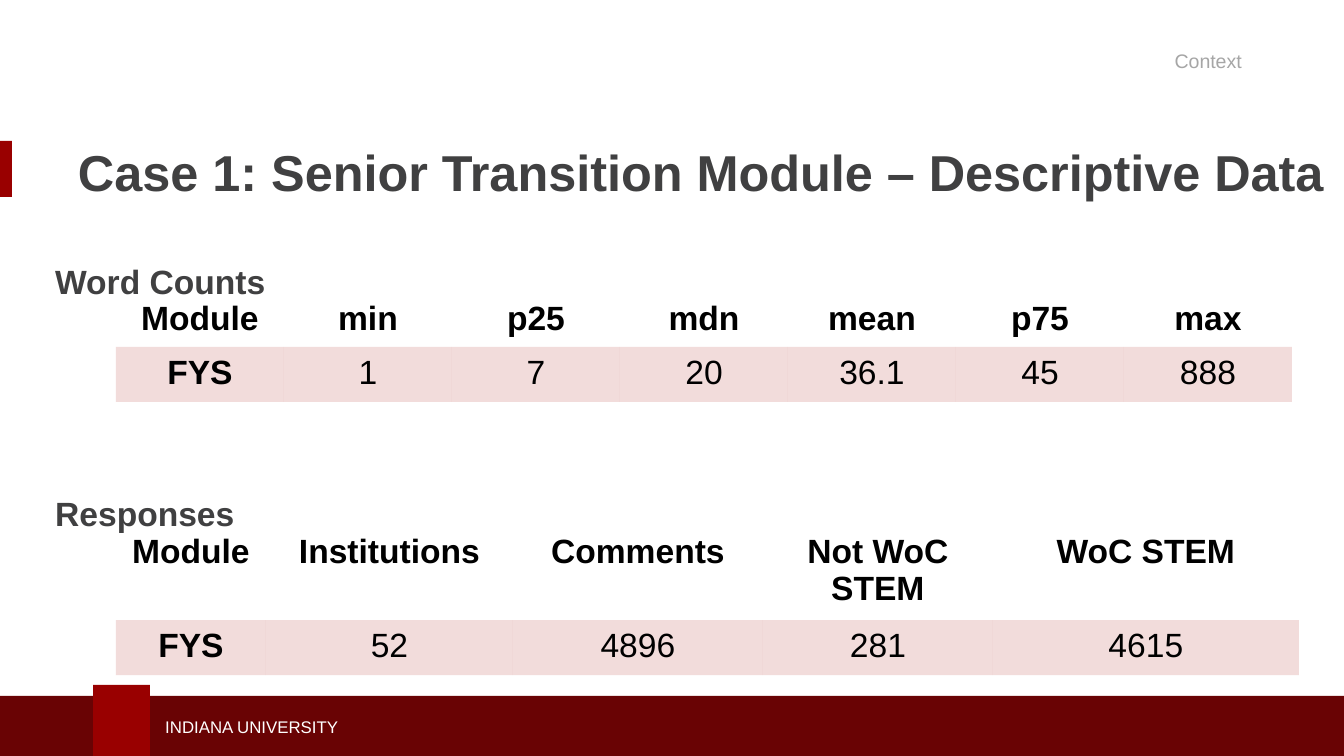
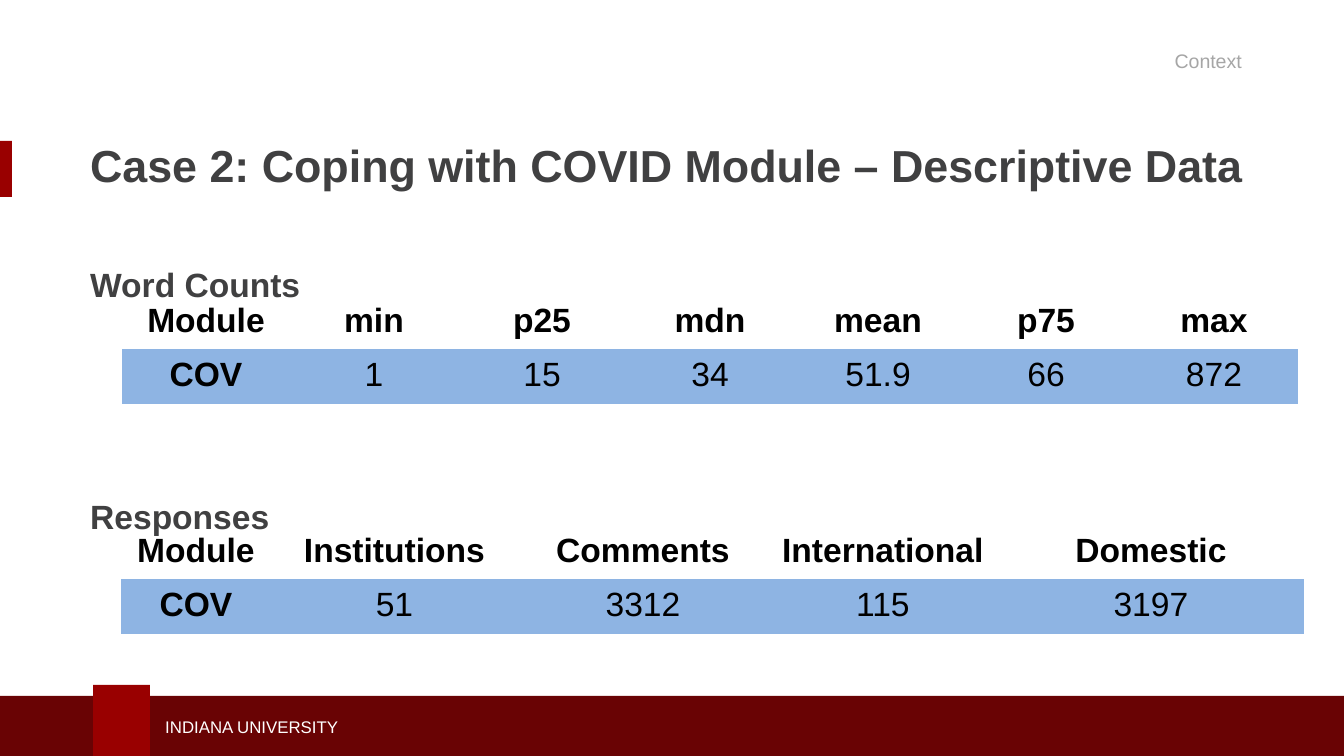
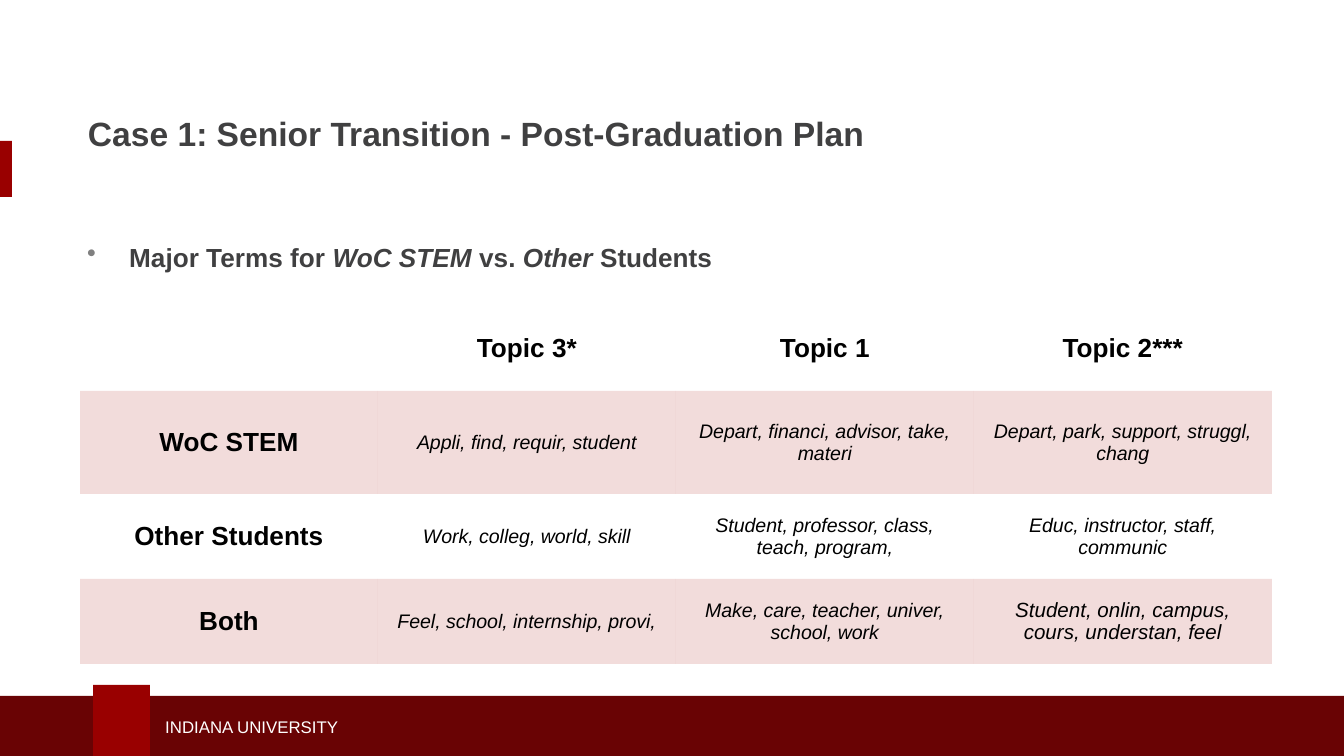
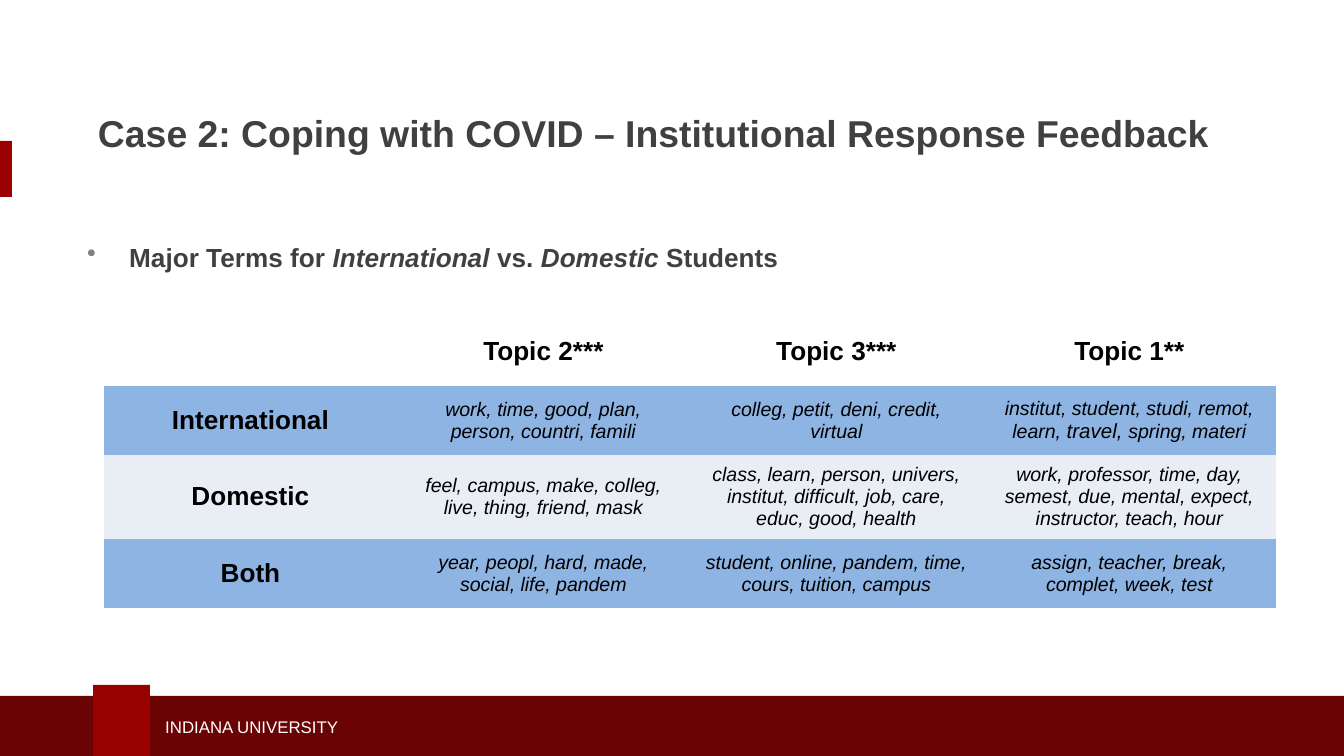
import pptx
import pptx.dml.color
import pptx.enum.shapes
import pptx.enum.text
import pptx.util
from dataclasses import dataclass
from lxml import etree
from pptx.oxml.ns import qn

SCALE = 914400 / 134.4
FONT = "Arial"
INK = "404041"
BLACK = "000000"
WHITE = "FFFFFF"
GREY = "A6A6A6"
DOT = "808080"
RED = "990000"
MAROON = "690304"
PLAIN_GRID = "{2D5ABB26-0587-4C30-8999-92F81FD0307C}"
ALIGN = pptx.enum.text.PP_ALIGN
ANCHOR = pptx.enum.text.MSO_ANCHOR


@dataclass(frozen=True)
class Box:
    left: int
    top: int
    width: int
    height: int


@dataclass(frozen=True)
class Tint:
    shade: str
    alpha: int = 100


@dataclass(frozen=True)
class Grid:
    left: int
    top: int
    widths: tuple[int, ...]
    heights: tuple[int, ...]
    rows: tuple[tuple[str, ...], ...]
    tints: tuple[Tint | None, ...]


@dataclass(frozen=True)
class Stats:
    title: str
    size: int
    area: Box
    labels: Box
    grids: tuple[Grid, ...]


@dataclass(frozen=True)
class Terms:
    title: str
    size: int
    inset: int
    point: str
    grid: Grid


BARS = (
    (Box(0, 141, 12, 56), RED),
    (Box(0, 696, 1344, 60), MAROON),
    (Box(93, 685, 57, 71), RED),
)
PINK = Tint("C0504D", 20)
BLUE = Tint("8EB4E3")
PALE = Tint("E9EDF4")
COUNTS = ("Module", "min", "p25", "mdn", "mean", "p75", "max")
SEVEN = (168,) * 7
FIVE = (150, 247, 250, 230, 306)
PAIR = (54, 55)

STATS = (
    Stats(
        "Case 1: Senior Transition Module – Descriptive Data", 27,
        Box(65, 120, 1279, 102), Box(42, 226, 294, 472),
        (
            Grid(116, 293, SEVEN, PAIR,
                 (COUNTS, ("FYS", "1", "7", "20", "36.1", "45", "888")),
                 (None, PINK)),
            Grid(116, 526, FIVE, (88, 55),
                 (("Module", "Institutions", "Comments", "Not WoC STEM", "WoC STEM"),
                  ("FYS", "52", "4896", "281", "4615")),
                 (None, PINK)),
        ),
    ),
    Stats(
        "Case 2: Coping with COVID Module – Descriptive Data", 24,
        Box(77, 114, 1267, 102), Box(77, 229, 1179, 472),
        (
            Grid(122, 295, SEVEN, PAIR,
                 (COUNTS, ("COV", "1", "15", "34", "51.9", "66", "872")),
                 (None, BLUE)),
            Grid(121, 525, FIVE, PAIR,
                 (("Module", "Institutions", "Comments", "International", "Domestic"),
                  ("COV", "51", "3312", "115", "3197")),
                 (None, BLUE)),
        ),
    ),
)

TERMS = (
    Terms(
        "Case 1: Senior Transition - Post-Graduation Plan", 18, 23,
        "Major Terms for |WoC STEM |vs. |Other |Students",
        Grid(80, 305, (298,) * 4, (86, 103, 85, 85),
             (("", "Topic 3*", "Topic 1", "Topic 2***"),
              ("WoC STEM", "Appli, find, requir, student",
               "Depart, financi, advisor, take, materi",
               "Depart, park, support, struggl, chang"),
              ("Other Students", "Work, colleg, world, skill",
               "Student, professor, class, teach, program,",
               "Educ, instructor, staff, communic"),
              ("Both", "Feel, school, internship, provi,",
               "Make, care, teacher, univer, school, work",
               "|Student, onlin, campus, cours, understan, feel")),
             (None, PINK, None, PINK)),
    ),
    Terms(
        "Case 2: Coping with COVID – Institutional Response Feedback", 20, 33,
        "Major Terms for |International |vs. |Domestic |Students",
        Grid(104, 316, (293,) * 4, (70, 69, 79, 69),
             (("", "Topic 2***", "Topic 3***", "Topic 1**"),
              ("International", "work, time, good, plan, person, countri, famili",
               "colleg, petit, deni, credit, virtual",
               "institut, student, studi, remot, learn, |travel, |spring, materi"),
              ("Domestic", "feel, campus, make, colleg, live, thing, friend, mask",
               "class, learn, person, univers, institut, difficult, job, care, "
               "educ, good, health",
               "work, professor, time, day, semest, due, mental, expect, "
               "instructor, teach, hour"),
              ("Both", "year, peopl, hard, made, social, life, pandem",
               "student, online, pandem, time, cours, tuition, campus",
               "assign, teacher, break, complet, week, test")),
             (None, BLUE, PALE, BLUE)),
    ),
)


def px(count: int) -> int:
    return round(count * SCALE)


def place(box: Box) -> tuple[int, ...]:
    return px(box.left), px(box.top), px(box.width), px(box.height)


def color(shade: str) -> pptx.dml.color.RGBColor:
    return pptx.dml.color.RGBColor.from_string(shade)


def style(font, size: float, shade: str, bold: bool = False, slant: bool = False) -> None:
    font.name = FONT
    font.size = pptx.util.Pt(size)
    font.bold = bold
    font.italic = slant
    font.color.rgb = color(shade)


def split(line, text: str) -> list:
    marked = []
    for spot, part in enumerate(text.split("|")):
        if part:
            run = line.add_run()
            run.text = part
            marked.append((run, spot % 2 == 1))
    return marked


def write(slide, box: Box, text: str, size: float, shade: str, bold: bool = False):
    frame = slide.shapes.add_textbox(*place(box)).text_frame
    frame.word_wrap = True
    frame.text = text
    for line in frame.paragraphs:
        for run in line.runs:
            style(run.font, size, shade, bold)
    return frame


def head(slide, box: Box, text: str, size: int, inset: int = 13) -> None:
    frame = write(slide, box, text, size, INK, True)
    frame.vertical_anchor = ANCHOR.MIDDLE
    frame.margin_left = px(inset)


def start(deck):
    slide = deck.slides.add_slide(deck.slide_layouts[6])
    for box, shade in BARS:
        bar = slide.shapes.add_shape(pptx.enum.shapes.MSO_SHAPE.RECTANGLE, *place(box))
        bar.shadow.inherit = False
        bar.fill.solid()
        bar.fill.fore_color.rgb = color(shade)
        bar.line.fill.background()
    foot = write(slide, Box(152, 710, 531, 33), "INDIANA UNIVERSITY", 9, WHITE)
    foot.vertical_anchor = ANCHOR.MIDDLE
    return slide


def paint(cell, tint: Tint | None) -> None:
    if tint is None:
        cell.fill.background()
        return
    cell.fill.solid()
    cell.fill.fore_color.rgb = color(tint.shade)
    if tint.alpha < 100:
        node = cell._tc.xpath("a:tcPr/a:solidFill/a:srgbClr")[0]
        etree.SubElement(node, qn("a:alpha"), val=str(tint.alpha * 1000))


def draw(slide, grid: Grid, terms: bool) -> None:
    box = Box(grid.left, grid.top, sum(grid.widths), sum(grid.heights))
    shape = slide.shapes.add_table(len(grid.heights), len(grid.widths), *place(box))
    shape.element.xpath(".//a:tableStyleId")[0].text = PLAIN_GRID
    table = shape.table
    table.horz_banding = False
    for col, width in zip(table.columns, grid.widths):
        col.width = px(width)
    for row, height in zip(table.rows, grid.heights):
        row.height = px(height)
    for r, (texts, tint) in enumerate(zip(grid.rows, grid.tints)):
        for c, text in enumerate(texts):
            cell = table.cell(r, c)
            paint(cell, tint)
            if terms:
                cell.vertical_anchor = ANCHOR.MIDDLE
            line = cell.text_frame.paragraphs[0]
            line.alignment = ALIGN.CENTER
            label = r == 0 or c == 0
            for run, marked in split(line, text):
                size = 18 if not terms else 14 if label else 11 if marked else 10.5
                style(run.font, size, BLACK, label, terms and not label)


def count(deck, page: Stats) -> None:
    slide = start(deck)
    note = write(slide, Box(711, 42, 544, 38), "Context", 10.5, GREY)
    note.paragraphs[0].alignment = ALIGN.RIGHT
    for grid in page.grids:
        draw(slide, grid, False)
    head(slide, page.area, page.title, page.size)
    frame = write(slide, page.labels, "Word Counts\nResponses", 18, INK, True)
    for line in frame.paragraphs:
        line.line_spacing = 1.7
    frame.paragraphs[1].space_before = pptx.util.Pt(87.5)


def compare(deck, page: Terms) -> None:
    slide = start(deck)
    head(slide, Box(65, 82, 1176, 102), page.title, page.size, page.inset)
    frame = write(slide, Box(74, 190, 1179, 496), "", 14, INK)
    frame.margin_top = px(51)
    line = frame.paragraphs[0]
    props = line._p.get_or_add_pPr()
    props.set("marL", str(px(42)))
    props.set("indent", str(-px(42)))
    tone = etree.SubElement(props, qn("a:buClr"))
    etree.SubElement(tone, qn("a:srgbClr"), val=DOT)
    etree.SubElement(props, qn("a:buChar"), char="•")
    for run, marked in split(line, page.point):
        style(run.font, 14, INK, True, marked)
    draw(slide, page.grid, True)


def main() -> None:
    deck = pptx.Presentation()
    deck.slide_width = px(1344)
    deck.slide_height = px(756)
    for page in STATS:
        count(deck, page)
    for page in TERMS:
        compare(deck, page)
    deck.save("out.pptx")


if __name__ == "__main__":
    main()
